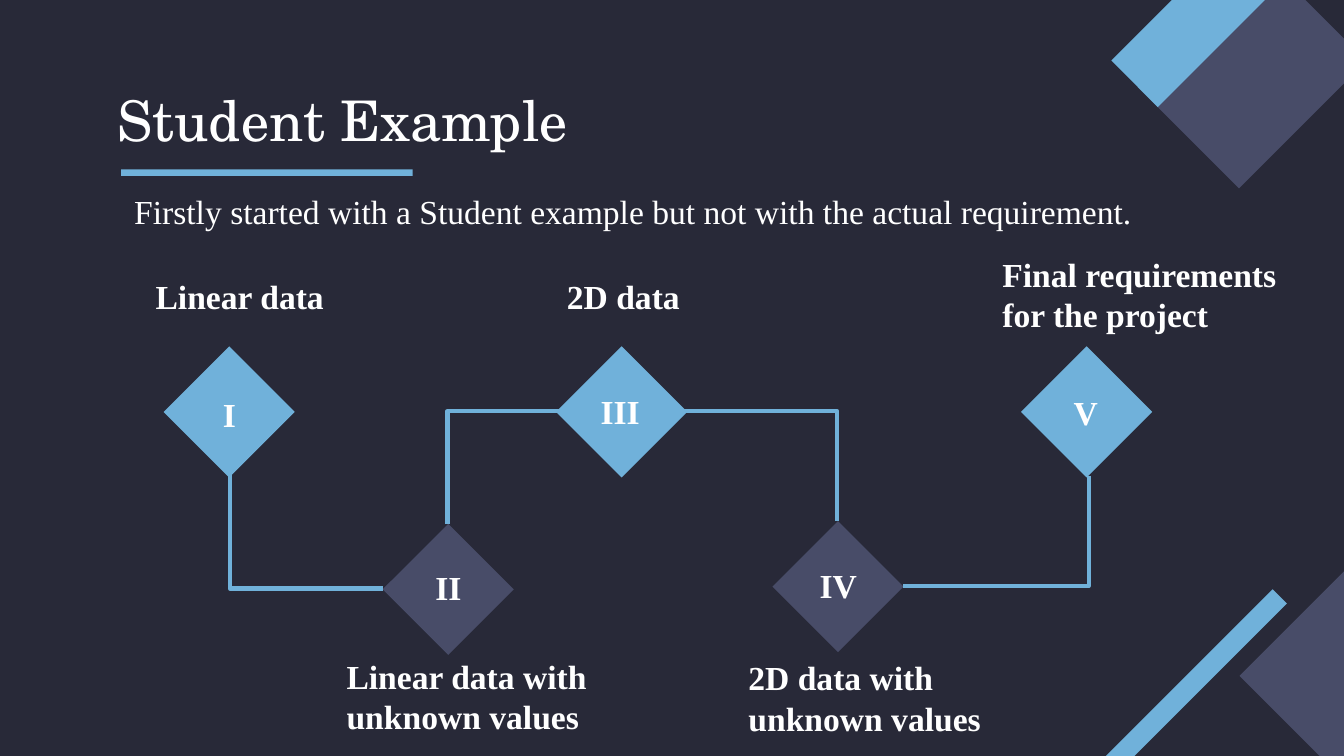
"""Build the Student Example slide with its five-step zigzag path."""
from lxml import etree
from pptx import Presentation
from pptx.dml.color import RGBColor
from pptx.enum.shapes import MSO_CONNECTOR, MSO_SHAPE
from pptx.enum.text import MSO_ANCHOR
from pptx.oxml.ns import qn
from pptx.util import Inches, Pt

RECTANGLE = MSO_SHAPE.RECTANGLE
ELBOW = MSO_CONNECTOR.ELBOW
TOP, MIDDLE = MSO_ANCHOR.TOP, MSO_ANCHOR.MIDDLE

NAVY = RGBColor(0x28, 0x29, 0x38)
SLATE = RGBColor(0x48, 0x4C, 0x68)
SKY = RGBColor(0x70, 0xB1, 0xDA)
WHITE = RGBColor(0xFF, 0xFF, 0xFF)

TITLE = {"name": "TeX Gyre Schola", "size": Pt(30), "bold": False}
BODY = {"name": "Times New Roman", "size": Pt(18), "bold": False}
LABEL = {**BODY, "bold": True}

DIAMOND_SIDE = 0.69

CORNER_BARS = [
    (9.5, 4.36, 1.34, 1.34, SLATE),
    (8.9, -0.07, 0.93, 1.34, SLATE),
    (8.67, -0.52, 0.49, 1.34, SKY),
    (8.68, 4.12, 0.15, 2.17, SKY),
]
STEPS = [
    ((1.36, 2.72), SKY, "I", (1.56, 2.83, 0.28, 0.47),
     "Linear data", (1.06, 1.95, 1.66, 0.47)),
    ((2.99, 4.04), SLATE, "II", (3.14, 4.12, 0.59, 0.47),
     "Linear data with unknown values", (2.48, 4.78, 2.21, 0.79)),
    ((4.28, 2.72), SKY, "III", (4.37, 2.81, 0.63, 0.47),
     "2D data", (4.12, 1.95, 1.1, 0.47)),
    ((5.89, 4.02), SLATE, "IV", (6, 4.1, 0.57, 0.47),
     "2D data with unknown values", (5.47, 4.79, 2.21, 0.78)),
    ((7.74, 2.72), SKY, "V", (7.89, 2.82, 0.57, 0.47),
     "Final requirements for the project", (7.36, 1.79, 2.28, 0.71)),
]
LINKS = [
    (2.85, 4.38, 1.71, 3.52),
    (4.16, 3.06, 3.33, 3.9),
    (5.08, 3.06, 6.23, 3.88),
    (6.72, 4.36, 8.1, 3.54),
]


class SlideBuilder:
    """Hold the style and the current slide."""

    def __init__(self, slide, background, ink, accent):
        """Keep the colours and paint the background."""
        self.shapes = slide.shapes
        self.ink = ink
        self.accent = accent
        slide.background.fill.solid()
        slide.background.fill.fore_color.rgb = background

    def bar(self, left, top, width, height, color, rotation=45):
        """Add a rotated rectangle without an outline."""
        bar = self.shapes.add_shape(RECTANGLE, *map(Inches, (left, top, width, height)))
        bar.rotation = rotation
        bar.shadow.inherit = False
        bar.fill.solid()
        bar.fill.fore_color.rgb = color
        bar.line.fill.background()

    def text(self, words, box, font_format, anchor=TOP):
        """Add a wrapped text box in one font format."""
        frame = self.shapes.add_textbox(*map(Inches, box)).text_frame
        frame_format = {"word_wrap": True, "vertical_anchor": anchor}
        for side in ("left", "top", "right", "bottom"):
            frame_format[f"margin_{side}"] = Inches(0.1)
        for name, value in frame_format.items():
            setattr(frame, name, value)
        run = frame.paragraphs[0].add_run()
        run.text = words
        for name, value in font_format.items():
            setattr(run.font, name, value)
        run.font.color.rgb = self.ink

    def link(self, ends):
        """Add an elbow that runs across first and turns once at its far end."""
        link = self.shapes.add_connector(ELBOW, *map(Inches, ends))
        link.line.color.rgb = self.accent
        link.line.width = Pt(2.25)
        properties = link._element.spPr
        etree.SubElement(properties, qn("a:effectLst"))
        guides = properties.find(qn("a:prstGeom")).get_or_add_avLst()
        etree.SubElement(guides, qn("a:gd"), name="adj1", fmla="val 100000")


def main():
    """Build and save the slide."""
    deck = Presentation()
    deck.slide_width = Inches(10)
    deck.slide_height = deck.slide_width * 9 // 16
    slide = deck.slides.add_slide(deck.slide_layouts[6])
    builder = SlideBuilder(slide, NAVY, WHITE, SKY)

    for corner_bar in CORNER_BARS:
        builder.bar(*corner_bar)
    builder.text("Student Example", (0.78, 0.59, 8.44, 0.59), TITLE, MIDDLE)
    for corner, color, *_ in STEPS:
        builder.bar(*corner, DIAMOND_SIDE, DIAMOND_SIDE, color)
    builder.bar(1.96, 0.2, 0.05, 2.17, SKY, rotation=90)
    builder.text(
        "Firstly started with a Student example but not with the actual requirement.",
        (0.9, 1.32, 8.11, 0.61), BODY)
    for ends in LINKS:
        builder.link(ends)
    for _, _, numeral, numeral_box, caption, caption_box in STEPS:
        builder.text(numeral, numeral_box, LABEL)
        builder.text(caption, caption_box, LABEL)

    deck.save("out.pptx")


if __name__ == "__main__":
    main()
